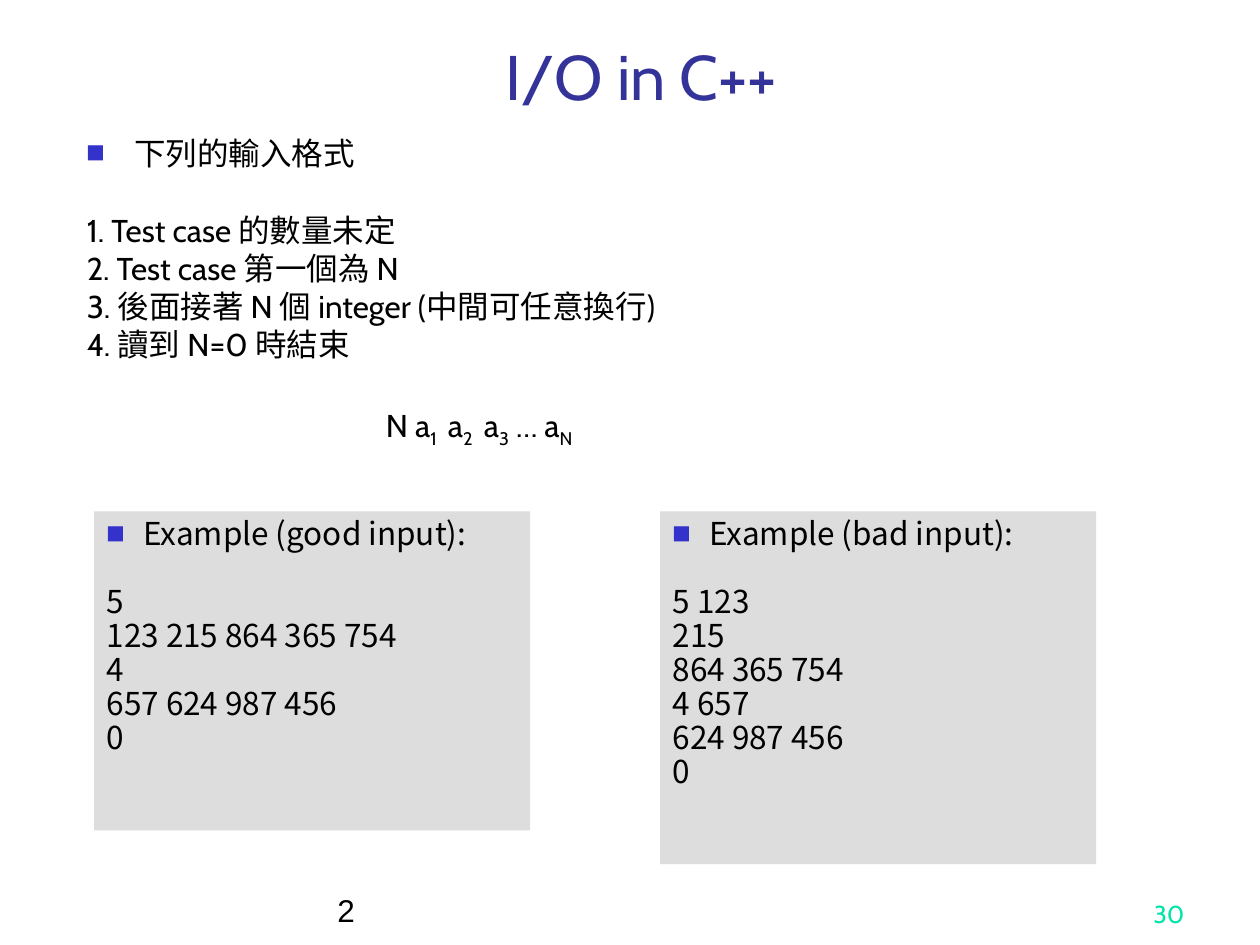
from lxml import etree
from pptx import Presentation
from pptx import util as u
from pptx.dml.color import RGBColor
from pptx.enum import shapes, text
from pptx.oxml.ns import qn

CJK_FONT = "Noto Sans CJK SC"
BULLET_COLOR = "3333CC"


def color(hex_string):
    return RGBColor.from_string(hex_string)


def add_bullet(paragraph):
    properties = paragraph._p.get_or_add_pPr()
    bullet_color = etree.SubElement(properties, qn("a:buClr"))
    etree.SubElement(bullet_color, qn("a:srgbClr"), val=BULLET_COLOR)
    etree.SubElement(properties, qn("a:buSzPct"), val="60000")
    etree.SubElement(properties, qn("a:buFont"), typeface=CJK_FONT)
    etree.SubElement(properties, qn("a:buChar"), char="■")


def write(paragraph, content, size=18, font="Cabin", fill="000000", baseline=0):
    run = paragraph.add_run()
    run.text = content
    run.font.size = u.Pt(size)
    run.font.name = font
    run.font.color.rgb = color(fill)
    properties = run._r.get_or_add_rPr()
    etree.SubElement(properties, qn("a:ea"), typeface=CJK_FONT)
    if baseline:
        properties.set("baseline", str(baseline * 1000))


def set_up_frame(shape, anchor):
    frame = shape.text_frame
    frame.word_wrap = True
    frame.vertical_anchor = anchor
    frame.margin_left = frame.margin_right = u.Cm(0.25)
    frame.margin_top = frame.margin_bottom = u.Cm(0.13)
    return frame


def add_text_box(slide, box, anchor=text.MSO_ANCHOR.TOP):
    shape = slide.shapes.add_textbox(*map(u.Cm, box))
    return set_up_frame(shape, anchor)


def add_paragraph(frame, first=False, before=0, spacing=1.0, margin=0.0, bullet=False):
    paragraph = frame.paragraphs[0] if first else frame.add_paragraph()
    paragraph.alignment = text.PP_ALIGN.LEFT
    paragraph.line_spacing = spacing
    if before and not first:
        paragraph.space_before = u.Pt(before)
    properties = paragraph._p.get_or_add_pPr()
    properties.set("marL", str(u.Cm(margin)))
    properties.set("indent", str(-u.Cm(margin) if bullet else 0))
    if bullet:
        add_bullet(paragraph)
    return paragraph


def add_line(slide, box, content, alignment, **style):
    """Add a single line that sits at the bottom of its box."""
    frame = add_text_box(slide, box, text.MSO_ANCHOR.BOTTOM)
    paragraph = add_paragraph(frame, first=True)
    paragraph.alignment = alignment
    write(paragraph, content, **style)


def add_format_rules(slide, box, heading, rules, sequence):
    frame = add_text_box(slide, box)
    write(add_paragraph(frame, first=True, spacing=0.8, margin=0.96, bullet=True), heading)
    for index, rule in enumerate(rules):
        before = 4.5 if index else 26.5
        write(add_paragraph(frame, before=before, spacing=0.8), rule)
    paragraph = add_paragraph(frame, before=27, spacing=0.8, margin=6.03)
    for content, baseline in sequence:
        write(paragraph, content, baseline=baseline)


def add_example(slide, box, heading, lines):
    panel = slide.shapes.add_shape(shapes.MSO_SHAPE.RECTANGLE, *map(u.Cm, box))
    panel.shadow.inherit = False
    panel.fill.solid()
    panel.fill.fore_color.rgb = color("DDDDDD")
    panel.line.fill.background()
    frame = set_up_frame(panel, text.MSO_ANCHOR.TOP)
    title = add_paragraph(frame, first=True, spacing=0.9, margin=0.74, bullet=True)
    write(title, heading, font=CJK_FONT)
    for index, line in enumerate(lines):
        before = 0 if index else 19.5
        write(add_paragraph(frame, before=before, spacing=0.9), line, font=CJK_FONT)


def main():
    presentation = Presentation()
    presentation.slide_width, presentation.slide_height = u.Cm(25.4), u.Cm(19.05)
    slide = presentation.slides.add_slide(presentation.slide_layouts[6])

    add_line(slide, (2.11, 0.53, 21.64, 1.88), "I/O in C++",
             text.PP_ALIGN.CENTER, size=36, fill="333399")
    add_format_rules(
        slide, (1.5, 2.72, 21.21, 7.01), "下列的輸入格式",
        ["1. Test case 的數量未定",
         "2. Test case 第一個為 N",
         "3. 後面接著 N 個 integer (中間可任意換行)",
         "4. 讀到 N=0 時結束"],
        [("N a", 0), ("1 ", -25), (" a", 0), ("2 ", -25), (" a", 0),
         ("3", -25), (" … a", 0), ("N", -25)])
    add_example(slide, (1.9, 10.31, 8.79, 6.43), "Example (good input):",
                ["5", "123 215 864 365 754", "4", "657 624 987 456", "0"])
    add_example(slide, (13.31, 10.31, 8.79, 7.11), "Example (bad input):",
                ["5 123", "215", "864 365 754", "4 657", "624 987 456", "0"])
    add_line(slide, (6.55, 17.58, 13.77, 1.27), "2", text.PP_ALIGN.LEFT, font="Arial")
    add_line(slide, (18.85, 17.58, 5.28, 1.27), "30",
             text.PP_ALIGN.RIGHT, size=14, fill="00E4A8")
    presentation.save("out.pptx")


if __name__ == "__main__":
    main()
